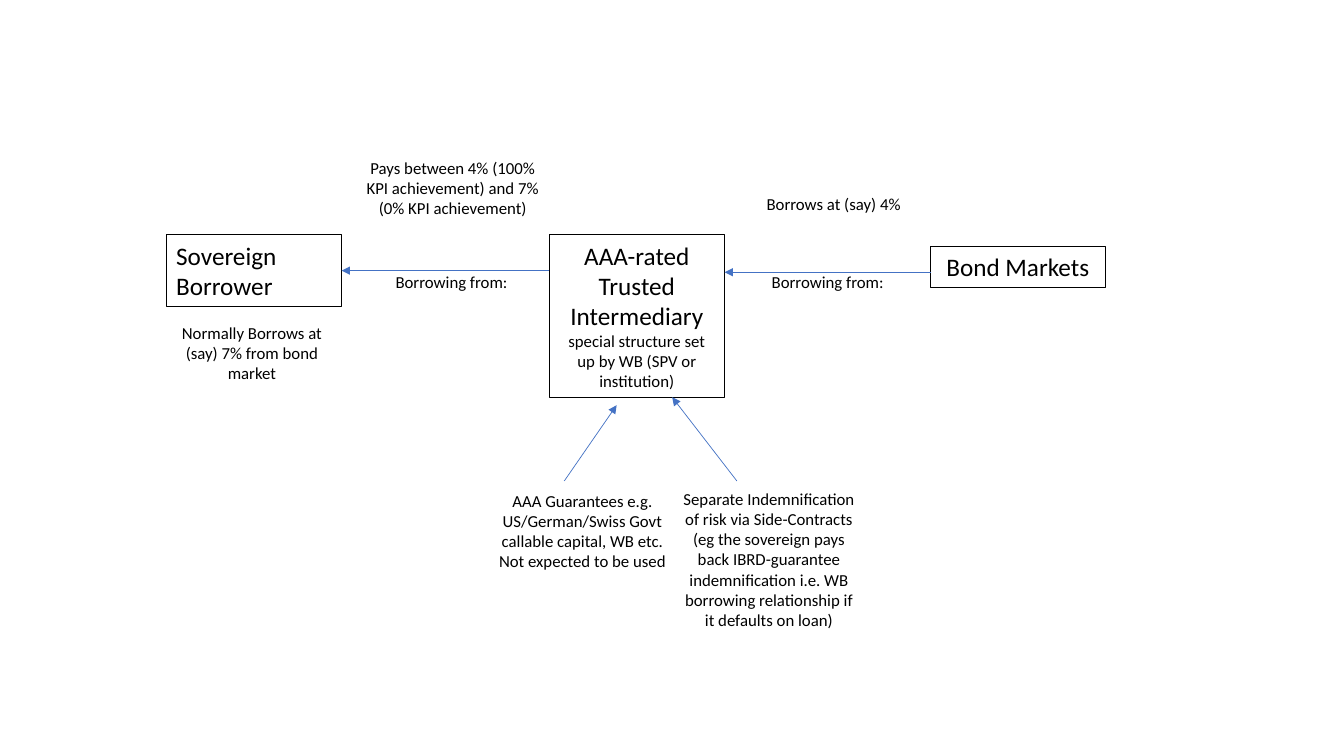
from dataclasses import dataclass

from lxml.etree import SubElement
from pptx import Presentation
from pptx.dml.color import RGBColor
from pptx.enum.shapes import MSO_CONNECTOR, MSO_SHAPE
from pptx.enum.text import MSO_ANCHOR, MSO_AUTO_SIZE, PP_ALIGN
from pptx.oxml.ns import qn
from pptx.shapes.autoshape import Shape
from pptx.shapes.connector import Connector
from pptx.slide import Slide
from pptx.text.text import TextFrame
from pptx.util import Cm, Pt

COLORS = {"ink": "000000", "arrow": "4472C4"}
FONT = "Calibri"
TITLE_SIZE, NOTE_SIZE = 18, 12
BOX_WIDTH, NOTE_WIDTH = 4.42, 4.88


@dataclass(frozen=True)
class Party:
    """A framed party; lengths in cm."""
    left: float
    top: float
    height: float
    name: str
    detail: str = ""
    align: PP_ALIGN = PP_ALIGN.CENTER


@dataclass(frozen=True)
class Note:
    left: float
    top: float
    height: float
    paragraphs: tuple[str, ...]


@dataclass(frozen=True)
class Arrow:
    """An arrow with its head at (x2, y2); lengths in cm."""
    x1: float
    y1: float
    x2: float
    y2: float


SOVEREIGN = Party(4.19, 5.92, 1.8, "Sovereign Borrower", align=PP_ALIGN.LEFT)
INTERMEDIARY = Party(13.84, 5.92, 4.11, "AAA-rated Trusted Intermediary ",
                     "special structure set up by WB (SPV or institution)")
BOND_MARKETS = Party(23.44, 6.22, 1.02, "Bond Markets")

NOTES = [
    Note(12.24, 12.24, 2.31, ("AAA Guarantees e.g. US/German/Swiss Govt callable capital, "
                              "WB etc. Not expected to be used",)),
    Note(16.94, 12.19, 3.84, ("Separate Indemnification of risk via Side-Contracts",
                              "(eg the sovereign pays back IBRD-guarantee indemnification "
                              "i.e. WB borrowing relationship if it defaults on loan)")),
    Note(18.57, 4.75, 0.76, ("Borrows at (say) 4%",)),
    Note(8.97, 3.84, 1.8, ("Pays between 4% (100% KPI achievement) and 7% "
                           "(0% KPI achievement)",)),
    Note(3.91, 8.0, 1.8, ("Normally Borrows at (say) 7% from bond market",)),
    Note(8.94, 6.73, 0.76, ("Borrowing from:",)),
    Note(18.42, 6.73, 0.76, ("Borrowing from:",)),
]

TO_SOVEREIGN = Arrow(13.84, 6.82, 8.61, 6.82)
ARROWS = [
    Arrow(23.47, 6.86, 18.26, 6.86),
    Arrow(14.22, 12.12, 15.54, 10.21),
    Arrow(18.57, 12.12, 16.94, 10.01),
]


def rgb(name: str) -> RGBColor:
    return RGBColor.from_string(COLORS[name])


def fit_frame(tf: TextFrame) -> None:
    """Wrap the text from the top and let the shape grow with it."""
    tf.word_wrap = True
    tf.auto_size = MSO_AUTO_SIZE.SHAPE_TO_FIT_TEXT
    tf.vertical_anchor = MSO_ANCHOR.TOP


def add_party(s: Slide, party: Party) -> Shape:
    sp = s.shapes.add_shape(MSO_SHAPE.RECTANGLE, Cm(party.left), Cm(party.top),
                            Cm(BOX_WIDTH), Cm(party.height))
    sp.shadow.inherit = False
    sp.fill.background()
    sp.line.color.rgb = rgb("ink")
    sp.line.width = Pt(0.75)
    fit_frame(sp.text_frame)
    p = sp.text_frame.paragraphs[0]
    p.alignment = party.align
    p.font.name = FONT
    p.font.color.rgb = rgb("ink")
    for text, size in ((party.name, TITLE_SIZE), (party.detail, NOTE_SIZE)):
        if text:
            r = p.add_run()
            r.text = text
            r.font.size = Pt(size)
    return sp


def add_note(s: Slide, note: Note) -> None:
    tf = s.shapes.add_textbox(Cm(note.left), Cm(note.top),
                              Cm(NOTE_WIDTH), Cm(note.height)).text_frame
    fit_frame(tf)
    tf.text = "\n".join(note.paragraphs)
    for p in tf.paragraphs:
        p.alignment = PP_ALIGN.CENTER
        p.font.name = FONT
        p.font.size = Pt(NOTE_SIZE)
        p.font.color.rgb = rgb("ink")


def add_arrow(s: Slide, arrow: Arrow) -> Connector:
    line = s.shapes.add_connector(MSO_CONNECTOR.STRAIGHT, Cm(arrow.x1), Cm(arrow.y1),
                                  Cm(arrow.x2), Cm(arrow.y2))
    line.line.color.rgb = rgb("arrow")
    line.line.width = Pt(0.5)
    SubElement(line.line._get_or_add_ln(), qn("a:tailEnd"), type="triangle")
    SubElement(line._element.spPr, qn("a:effectLst"))
    return line


def main() -> None:
    prs = Presentation()
    prs.slide_width, prs.slide_height = Cm(33.87), Cm(19.05)
    s = prs.slides.add_slide(prs.slide_layouts[6])

    sovereign = add_party(s, SOVEREIGN)
    for party in (INTERMEDIARY, BOND_MARKETS):
        add_party(s, party)
    for note in NOTES:
        add_note(s, note)
    add_arrow(s, TO_SOVEREIGN).end_connect(sovereign, 3)
    for arrow in ARROWS:
        add_arrow(s, arrow)

    prs.save("out.pptx")


if __name__ == "__main__":
    main()
